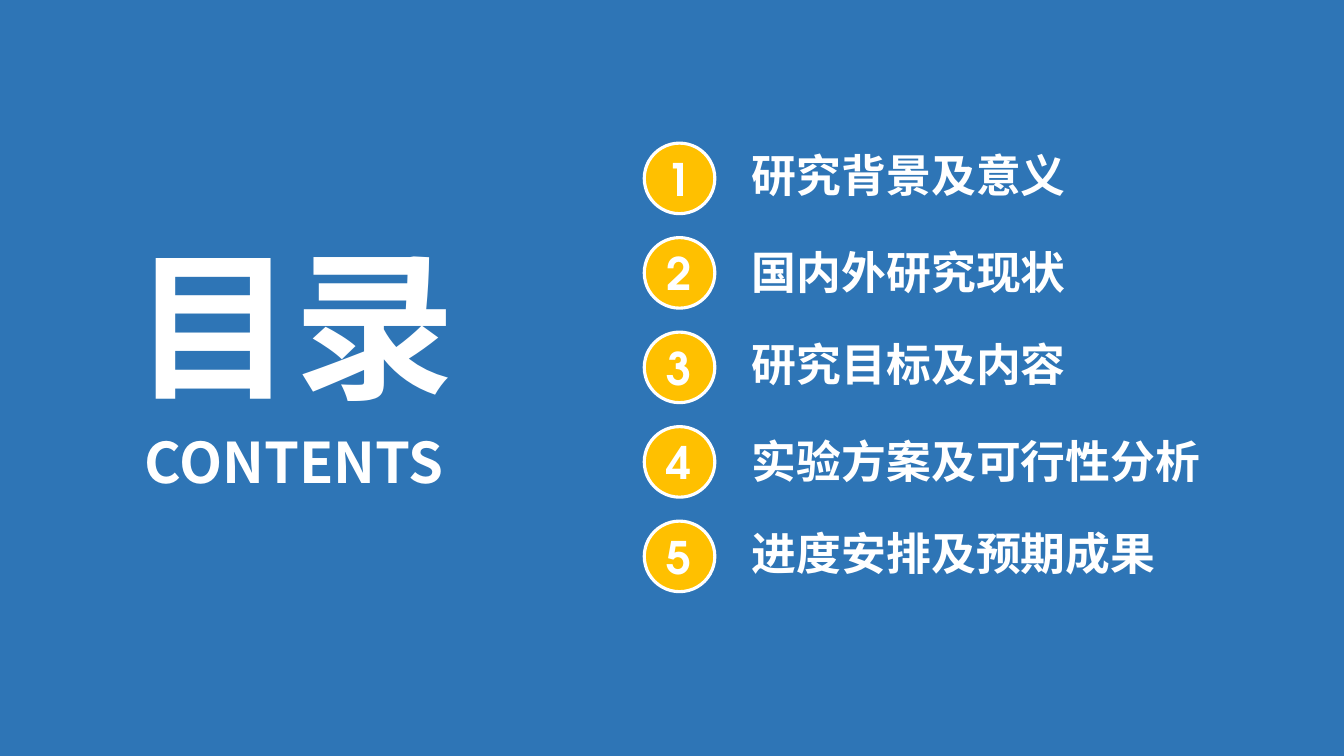
from dataclasses import dataclass

from pptx import Presentation
from pptx.dml.color import RGBColor as RGB
from pptx.enum.shapes import MSO_SHAPE as Shape
from pptx.enum.text import MSO_ANCHOR as Anchor, PP_ALIGN as Align
from pptx.oxml.ns import qn
from pptx.util import Inches, Pt


@dataclass(frozen=True)
class Theme:
    back: RGB = RGB(0x2E, 0x75, 0xB6)
    badge: RGB = RGB(0xFF, 0xC0, 0x00)
    ink: RGB = RGB(0xFF, 0xFF, 0xFF)
    font: str = "Noto Sans CJK SC"
    digit: str = "TeX Gyre Adventor"
    title: float = 115
    sub: float = 40
    item: float = 32
    rim: float = 2.25


THEME = Theme()
TOPICS = [
    ("研究背景及意义", 4.13),
    ("国内外研究现状", 4.13),
    ("研究目标及内容", 4.13),
    ("实验方案及可行性分析", 4.77),
    ("进度安排及预期成果", 5.32),
]


def write(shape, text, size, font=THEME.font, align=Align.LEFT, lead=0.9, pad=0.1):
    """Fill a shape with one bold line in the theme's ink."""
    frame = shape.text_frame
    frame.word_wrap = True
    frame.vertical_anchor = Anchor.MIDDLE
    frame.margin_left = frame.margin_right = Inches(pad)
    frame.margin_top = frame.margin_bottom = Inches(pad / 2)
    para = frame.paragraphs[0]
    para.alignment = align
    para.line_spacing = lead
    run = para.add_run()
    run.text = text
    run.font.name = font
    run.font.size = Pt(size)
    run.font.bold = True
    run.font.color.rgb = THEME.ink
    # Chinese glyphs take their typeface from the East Asian slot
    latin = run.font._element.find(qn("a:latin"))
    east = latin.makeelement(qn("a:ea"), {"typeface": font})
    latin.addnext(east)


def add_label(slide, box, text, size, **style):
    write(slide.shapes.add_textbox(*map(Inches, box)), text, size, **style)


def add_badge(slide, left, top, side, text):
    box = map(Inches, (left, top, side, side))
    disc = slide.shapes.add_shape(Shape.OVAL, *box)
    disc.shadow.inherit = False
    disc.fill.solid()
    disc.fill.fore_color.rgb = THEME.badge
    disc.line.color.rgb = THEME.ink
    disc.line.width = Pt(THEME.rim)
    write(disc, text, THEME.item, font=THEME.digit, align=Align.CENTER, lead=1, pad=0)


def add_title(slide, left, top, width, height):
    split = 1.87
    add_label(slide, (left, top, width, split), "目录", THEME.title, align=Align.CENTER)
    add_label(slide, (left, top + split, width, height - split), "CONTENTS",
              THEME.sub, align=Align.CENTER)


def add_topics(slide, left, top, height):
    """Stack numbered topics evenly over the given height."""
    side, indent = 0.7, 0.97
    step = (height - side) / (len(TOPICS) - 1)
    for row, (text, width) in enumerate(TOPICS):
        y = top + row * step
        add_badge(slide, left, y, side, str(row + 1))
        drop = 0.02 * (row % 2)
        add_label(slide, (left + indent, y + drop, width, side), text, THEME.item)


def main():
    deck = Presentation()
    deck.slide_width = Inches(13.33)
    deck.slide_height = Inches(7.5)
    slide = deck.slides.add_slide(deck.slide_layouts[6])
    slide.background.fill.solid()
    slide.background.fill.fore_color.rgb = THEME.back
    add_title(slide, 1.03, 2.38, 3.78, 2.6)
    add_topics(slide, 6.39, 1.42, 4.45)
    deck.save("out.pptx")


if __name__ == "__main__":
    main()
